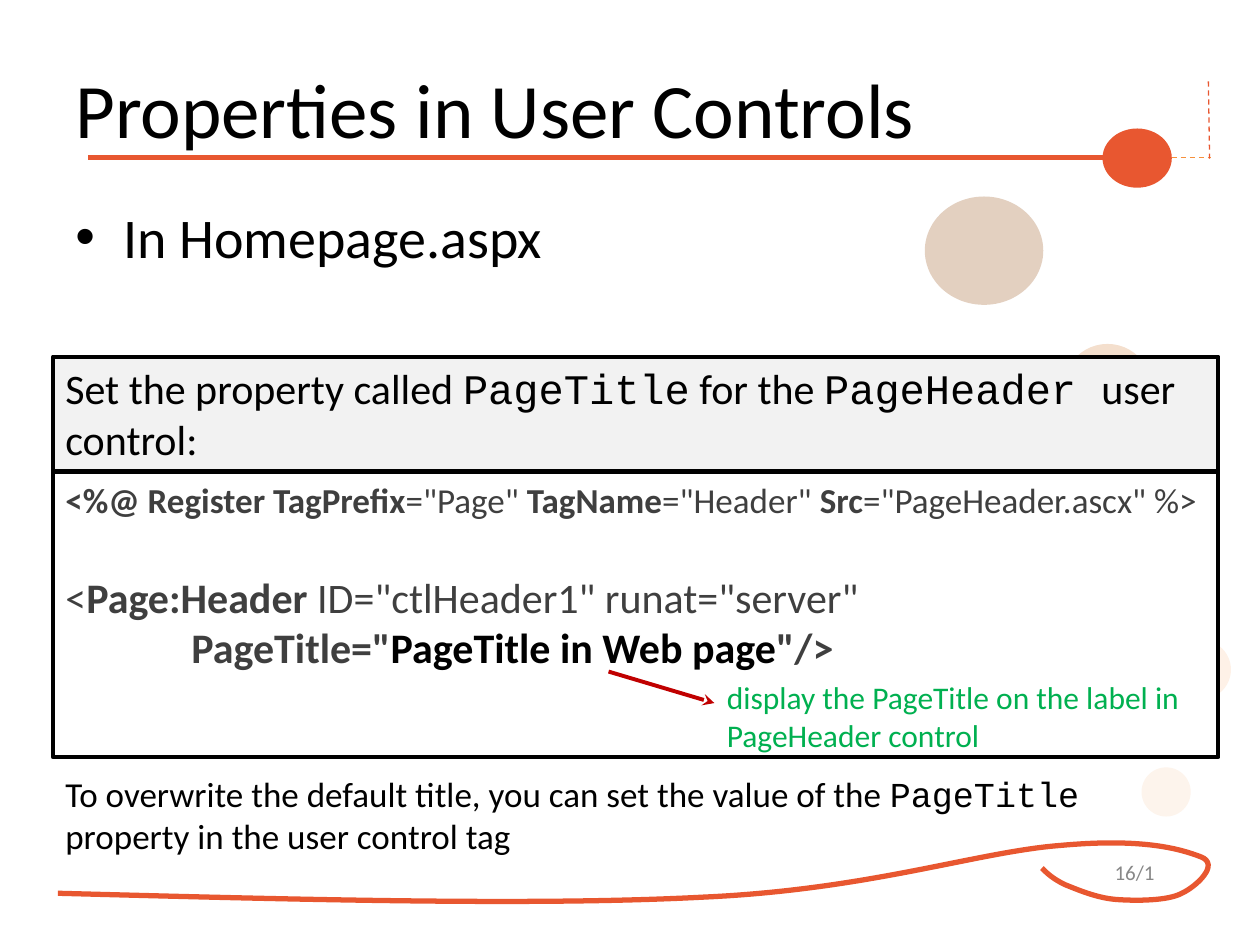
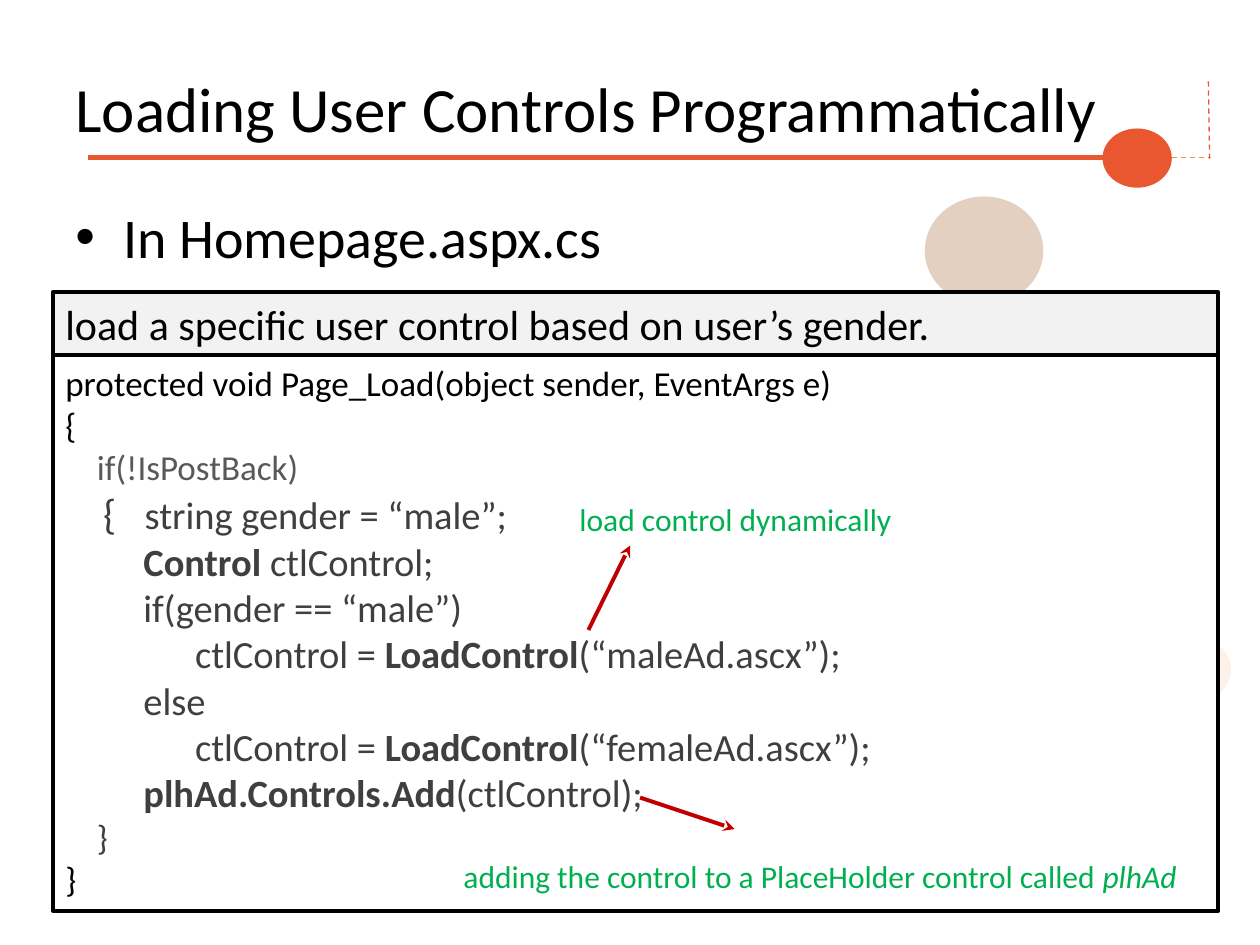
from dataclasses import dataclass
from typing import Any, Optional

import pptx
import pptx.dml.color
import pptx.enum.dml
import pptx.enum.shapes
import pptx.enum.text
import pptx.oxml.ns
import pptx.util
from lxml import etree

Inches = pptx.util.Inches
Pt = pptx.util.Pt
qn = pptx.oxml.ns.qn
Shapes = pptx.enum.shapes.MSO_SHAPE
Anchor = pptx.enum.text.MSO_ANCHOR
Align = pptx.enum.text.PP_ALIGN


@dataclass(frozen=True)
class Theme:
    font: str = "Calibri"
    mono: str = "Courier New"
    accent: str = "E85730"
    accent_light: str = "F6903C"
    ink: str = "000000"
    paper: str = "FFFFFF"
    header_fill: str = "F2F2F2"
    code: str = "3F3F3F"
    code_soft: str = "595959"
    note: str = "00B050"
    arrow: str = "C00000"
    page_number: str = "888888"
    title_size: float = 44
    long_title_size: float = 36
    bullet_size: float = 32
    header_size: float = 24
    code_size: float = 22
    body_size: float = 20
    note_size: float = 18
    page_size: float = 12
    frame_line: float = 2.25
    band_line: float = 3
    dash_line: float = 0.75


THEME = Theme()


@dataclass(frozen=True)
class Box:
    left: float
    top: float
    width: float
    height: float

    def emu(self) -> tuple[int, ...]:
        return tuple(Inches(v) for v in (self.left, self.top, self.width, self.height))


@dataclass(frozen=True)
class Run:
    """A stretch of text; unset fields follow the defaults of its block."""
    text: str
    bold: bool = False
    italic: bool = False
    font: Optional[str] = None
    color: Optional[str] = None
    size: Optional[float] = None


@dataclass(frozen=True)
class Para:
    runs: tuple[Run, ...]
    indent: float = 0
    hanging: float = 0
    space_before: float = 0
    bullet: str = ""


@dataclass(frozen=True)
class Bubble:
    box: Box
    color: str
    opacity: int = 100


@dataclass(frozen=True)
class Stroke:
    start: tuple[float, float]
    end: tuple[float, float]
    color: str
    width: float
    dashed: bool = False
    arrow: bool = False


BUBBLES = (
    Bubble(Box(7.34, 1.56, 0.94, 0.86), "904406", 25),
    Bubble(Box(8.44, 2.73, 0.7, 0.7), "C85F08", 20),
    Bubble(Box(9.3, 5.08, 0.47, 0.47), "F67B16", 10),
    Bubble(Box(8.75, 1.02, 0.55, 0.47), THEME.accent),
)
FOOTER_BUBBLE = Bubble(Box(9.06, 6.09, 0.39, 0.39), "F59545", 10)
TITLE_STROKES = (
    Stroke((0.7, 1.25), (8.75, 1.25), THEME.accent, THEME.band_line),
    Stroke((9.3, 1.25), (9.61, 1.25), THEME.accent_light, THEME.dash_line, dashed=True),
    Stroke((9.6, 1.26), (9.59, 0.62), THEME.accent, THEME.dash_line, dashed=True),
)
SWOOSH_START = (0.46, 7.09)
SWOOSH_CURVES = (
    ((2.36, 7.14), (4.26, 7.19), (5.59, 7.12)),
    ((6.91, 7.06), (7.76, 6.76), (8.42, 6.71)),
    ((9.08, 6.65), (9.37, 6.74), (9.53, 6.8)),
    ((9.69, 6.86), (9.49, 7.04), (9.38, 7.09)),
    ((9.27, 7.15), (9.02, 7.15), (8.87, 7.14)),
    ((8.71, 7.13), (8.55, 7.06), (8.45, 7.02)),
    ((8.35, 6.97), (8.31, 6.93), (8.27, 6.89)),
)
FRAME_LEFT, FRAME_WIDTH = 0.42, 9.25


def rgb(color: str) -> pptx.dml.color.RGBColor:
    return pptx.dml.color.RGBColor.from_string(color)


def line(*runs: Run | str, **layout: Any) -> Para:
    """A paragraph in which plain strings are unformatted runs."""
    return Para(tuple(Run(r) if isinstance(r, str) else r for r in runs), **layout)


def write(shape: Any, *paragraphs: Para | str, size: float, color: str = THEME.ink,
          align: Any = Align.LEFT, anchor: Any = Anchor.TOP, grow: bool = False) -> None:
    frame = shape.text_frame
    frame.word_wrap = True
    frame.vertical_anchor = anchor
    sizes = pptx.enum.text.MSO_AUTO_SIZE
    frame.auto_size = sizes.SHAPE_TO_FIT_TEXT if grow else sizes.NONE
    for number, content in enumerate(paragraphs):
        para = line(content) if isinstance(content, str) else content
        target = frame.add_paragraph() if number else frame.paragraphs[0]
        target.alignment = align
        target.space_before = Pt(para.space_before)
        properties = target._p.get_or_add_pPr()
        properties.set("marL", str(Inches(para.indent)))
        properties.set("indent", str(-Inches(para.hanging)))
        if para.bullet:
            etree.SubElement(properties, qn("a:buFont")).set("typeface", "Arial")
            etree.SubElement(properties, qn("a:buChar")).set("char", para.bullet)
        for run in para.runs:
            piece = target.add_run()
            piece.text = run.text
            piece.font.name = run.font or THEME.font
            piece.font.size = Pt(run.size or size)
            piece.font.bold = run.bold
            piece.font.italic = run.italic
            piece.font.color.rgb = rgb(run.color or color)


def add_text(slide: Any, box: Box, *paragraphs: Para | str, **style: Any) -> None:
    write(slide.shapes.add_textbox(*box.emu()), *paragraphs, **style)


def add_filled(slide: Any, kind: Any, box: Box, color: str) -> Any:
    shape = slide.shapes.add_shape(kind, *box.emu())
    shape.shadow.inherit = False
    shape.fill.solid()
    shape.fill.fore_color.rgb = rgb(color)
    shape.line.fill.background()
    return shape


def add_bubble(slide: Any, bubble: Bubble) -> None:
    shape = add_filled(slide, Shapes.OVAL, bubble.box, bubble.color)
    if bubble.opacity < 100:
        tint = shape._element.spPr.find(qn("a:solidFill")).find(qn("a:srgbClr"))
        etree.SubElement(tint, qn("a:alpha")).set("val", str(bubble.opacity * 1000))


def add_stroke(slide: Any, stroke: Stroke) -> None:
    ends = (Inches(v) for v in (*stroke.start, *stroke.end))
    connector = slide.shapes.add_connector(pptx.enum.shapes.MSO_CONNECTOR.STRAIGHT, *ends)
    connector.line.color.rgb = rgb(stroke.color)
    connector.line.width = Pt(stroke.width)
    if stroke.dashed:
        connector.line.dash_style = pptx.enum.dml.MSO_LINE.DASH
    if stroke.arrow:
        outline = connector.line._get_or_add_ln()
        etree.SubElement(outline, qn("a:tailEnd")).set("type", "stealth")
    etree.SubElement(connector._element.spPr, qn("a:effectLst"))


def bend_segments(freeform: Any) -> None:
    """Turn every three straight segments into one cubic Bézier curve."""
    segments = list(freeform._element.iter(qn("a:lnTo")))
    for first in range(0, len(segments), 3):
        outline = segments[first].getparent()
        curve = etree.SubElement(outline, qn("a:cubicBezTo"))
        for segment in segments[first:first + 3]:
            curve.append(segment[0])
            outline.remove(segment)


def add_swoosh(slide: Any) -> None:
    builder = slide.shapes.build_freeform(*(Inches(v) for v in SWOOSH_START))
    corners = [(Inches(x), Inches(y)) for curve in SWOOSH_CURVES for x, y in curve]
    builder.add_line_segments(corners, close=False)
    swoosh = builder.convert_to_shape()
    bend_segments(swoosh)
    swoosh.shadow.inherit = False
    swoosh.fill.background()
    swoosh.line.color.rgb = rgb(THEME.accent)
    swoosh.line.width = Pt(THEME.band_line)


def add_base_slide(deck: Any, title: str, topic: str, title_size: float,
                   page: str = "") -> Any:
    slide = deck.slides.add_slide(deck.slide_layouts[6])
    if page:
        add_text(slide, Box(8.67, 6.72, 0.67, 0.4), page, size=THEME.page_size,
                 color=THEME.page_number, align=Align.CENTER, anchor=Anchor.MIDDLE)
        add_bubble(slide, FOOTER_BUBBLE)
    add_swoosh(slide)
    for bubble in BUBBLES:
        add_bubble(slide, bubble)
    for stroke in TITLE_STROKES:
        add_stroke(slide, stroke)
    add_text(slide, Box(0.5, 0.17, 9, 1.37), title, size=title_size, anchor=Anchor.MIDDLE)
    add_text(slide, Box(0.5, 1.56, 8.95, 4.92),
             line(topic, indent=0.38, hanging=0.38, bullet="•"), size=THEME.bullet_size)
    return slide


def add_frame(slide: Any, top: float, height: float, fill: str,
              *paragraphs: Para | str, **style: Any) -> None:
    frame = add_filled(slide, Shapes.RECTANGLE, Box(FRAME_LEFT, top, FRAME_WIDTH, height), fill)
    frame.line.color.rgb = rgb(THEME.ink)
    frame.line.width = Pt(THEME.frame_line)
    write(frame, *paragraphs, grow=True, **style)


def add_note(slide: Any, box: Box, note: Para | str,
             start: tuple[float, float], end: tuple[float, float]) -> None:
    add_stroke(slide, Stroke(start, end, THEME.arrow, THEME.frame_line, arrow=True))
    add_text(slide, box, note, size=THEME.note_size, color=THEME.note, grow=True)


def bold(text: str, color: Optional[str] = None) -> Run:
    return Run(text, bold=True, color=color)


def mono(text: str) -> Run:
    return Run(text, font=THEME.mono)


def build_properties_slide(deck: Any) -> None:
    slide = add_base_slide(deck, "Properties in User Controls", "In Homepage.aspx",
                           THEME.title_size, page="16/1")
    add_frame(slide, 2.83, 0.91, THEME.header_fill,
              line("Set the property called ", mono("PageTitle"), " for the ",
                   mono("PageHeader "), "user control:"), size=THEME.header_size)
    register = (bold("<%@ Register TagPrefix"), Run('="Page" '), bold("TagName"),
                Run('="Header" '), bold("Src"), Run('="PageHeader.ascx" %>'))
    add_frame(slide, 3.75, 2.26, THEME.paper,
              line(*(Run(r.text, r.bold, size=THEME.body_size) for r in register)),
              line("<", bold("Page:Header"), ' ID="ctlHeader1" runat="server"', space_before=29),
              line(bold('PageTitle="'), bold("PageTitle in Web page", THEME.ink),
                   bold('"/>'), indent=1),
              size=THEME.header_size, color=THEME.code)
    add_note(slide, Box(5.67, 5.33, 3.92, 0.71),
             "display the PageTitle on the label in PageHeader control", (4.83, 5.33), (5.67, 5.58))
    add_text(slide, Box(FRAME_LEFT, 6.08, FRAME_WIDTH, 0.77),
             line("To overwrite the default title, you can set the value of the ",
                  mono("PageTitle"), " property in the user control tag"),
             size=THEME.body_size, grow=True)


def build_loading_slide(deck: Any) -> None:
    slide = add_base_slide(deck, "Loading User Controls Programmatically",
                           "In Homepage.aspx.cs", THEME.long_title_size)
    add_frame(slide, 2.32, 0.5, THEME.header_fill,
              "load a specific user control based on user’s gender.", size=THEME.header_size)

    def outer(text: str, color: str = THEME.ink, indent: float = 0) -> Para:
        return line(Run(text, color=color, size=THEME.body_size), indent=indent)

    block, statement, branch = 0.25, 0.62, 1.03
    add_frame(slide, 2.82, 4.41, THEME.paper,
              outer("protected void Page_Load(object sender, EventArgs e)"),
              outer("{"),
              outer("if(!IsPostBack)", THEME.code_soft, block),
              line(Run("{\t", size=THEME.header_size), "string gender = “male”;",
                   indent=0.63, hanging=0.33),
              line(bold("Control "), "ctlControl;", indent=statement),
              line("if(gender == “male”)", indent=statement),
              line("ctlControl = ", bold("LoadControl"), "(“maleAd.ascx”);", indent=branch),
              line("else", indent=statement),
              line("ctlControl =", bold(" LoadControl"), "(“femaleAd.ascx”);", indent=branch),
              line(bold("plhAd.Controls.Add"), "(ctlControl);", indent=statement),
              outer("}", THEME.code, block),
              outer("}"),
              size=THEME.code_size, color=THEME.code)
    add_note(slide, Box(3.58, 6.75, 6, 0.4),
             line("adding the control to a PlaceHolder control called ", Run("plhAd", italic=True)),
             (5.08, 6.33), (5.83, 6.58))
    add_note(slide, Box(4.5, 3.92, 2.75, 0.4), "load control dynamically", (4.67, 5), (5, 4.33))


def main() -> None:
    deck = pptx.Presentation()
    deck.slide_width, deck.slide_height = Inches(10), Inches(7.5)
    build_properties_slide(deck)
    build_loading_slide(deck)
    deck.save("out.pptx")


if __name__ == "__main__":
    main()
